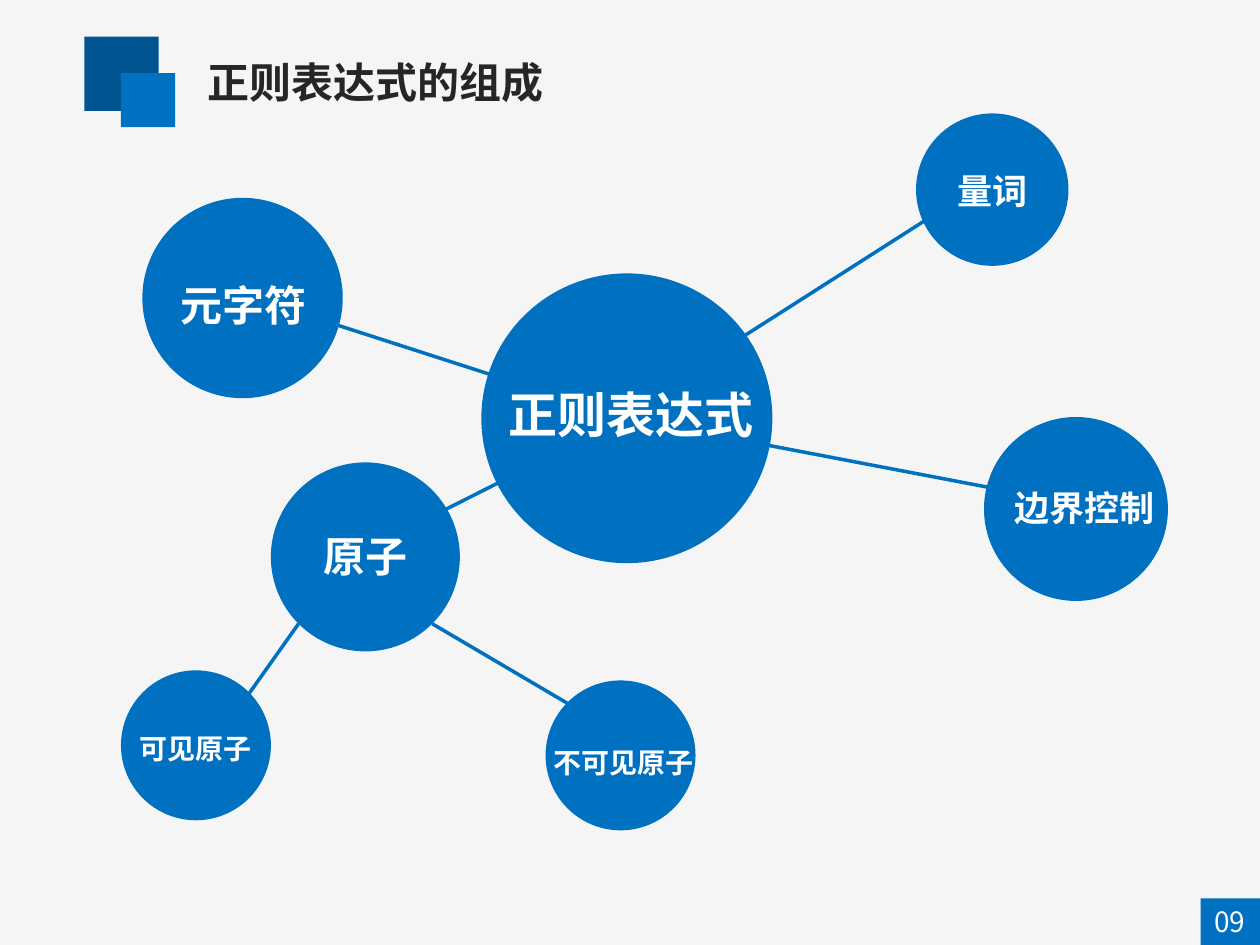
from dataclasses import dataclass

import lxml.etree
import pptx
import pptx.dml.color
import pptx.enum.shapes
import pptx.enum.text
import pptx.oxml.ns
import pptx.util

Inches = pptx.util.Inches
Align = pptx.enum.text.PP_ALIGN
Shape = pptx.enum.shapes.MSO_SHAPE
qn = pptx.oxml.ns.qn


@dataclass(frozen=True)
class Theme:
    font: str = "Noto Sans CJK SC"
    background: str = "F5F5F5"
    blue: str = "0070C0"
    dark_blue: str = "005490"
    title: str = "262626"
    white: str = "FFFFFF"
    small: int = 16
    medium: int = 20
    large: int = 24
    hub: int = 28
    line: float = 2


THEME = Theme()
LABEL_HEIGHTS = {THEME.small: 0.37, THEME.medium: 0.44, THEME.large: 0.5, THEME.hub: 0.57}

# circle box, label left, top and width, text size
NODES = [
    ("正则表达式", (3.82, 2.17, 2.31, 2.3), (3.85, 3, 2.31), THEME.hub),
    ("量词", (7.27, 0.9, 1.21, 1.21), (6.97, 1.3, 1.81), THEME.medium),
    ("元字符", (1.13, 1.57, 1.59, 1.59), (0.74, 2.17, 2.38), THEME.large),
    ("边界控制", (7.81, 3.31, 1.46, 1.46), (7.52, 3.81, 2.18), THEME.medium),
    ("原子", (2.15, 3.67, 1.5, 1.5), (1.78, 4.16, 2.24), THEME.large),
    ("可见原子", (0.96, 5.32, 1.19, 1.19), (0.43, 5.76, 2.24), THEME.small),
    ("不可见原子", (4.33, 5.4, 1.19, 1.19), (3.83, 5.87, 2.24), THEME.small),
]
HUB_LINKS = [
    ((1.87, 2.32), (4.94, 3.31)),
    ((2.81, 4.41), (4.95, 3.33)),
    ((4.85, 3.34), (7.64, 1.56)),
    ((4.92, 3.31), (8.54, 4)),
]
ATOM_LINKS = [
    ((1.98, 5.5), (2.37, 4.95)),
    ((3.43, 4.95), (4.5, 5.58)),
]


def rgb(value):
    return pptx.dml.color.RGBColor.from_string(value)


def write_text(sp, text, size, color, bold=True, align=Align.CENTER):
    tf = sp.text_frame
    tf.word_wrap = True
    tf.vertical_anchor = pptx.enum.text.MSO_ANCHOR.TOP
    p = tf.paragraphs[0]
    p.text = text
    p.alignment = align
    p.font.size = pptx.util.Pt(size)
    p.font.bold = bold
    p.font.color.rgb = rgb(color)
    p.font.name = THEME.font
    props = p._p.pPr.find(qn("a:defRPr"))
    lxml.etree.SubElement(props, qn("a:ea")).set("typeface", THEME.font)


def add_title(s, text):
    sp = s.shapes.title
    sp.left, sp.top, sp.width, sp.height = map(Inches, (1.55, 0.4, 7.78, 0.5))
    write_text(sp, text, THEME.large, THEME.title, align=Align.LEFT)


def add_block(s, kind, box, color=THEME.blue):
    sp = s.shapes.add_shape(kind, *map(Inches, box))
    sp.shadow.inherit = False
    sp.fill.solid()
    sp.fill.fore_color.rgb = rgb(color)
    sp.line.fill.background()


def add_label(s, text, place, size, bold=True):
    left, top, width = place
    sp = s.shapes.add_textbox(*map(Inches, (left, top, width, LABEL_HEIGHTS[size])))
    write_text(sp, text, size, THEME.white, bold)


def add_link(s, start, end):
    sp = s.shapes.add_connector(
        pptx.enum.shapes.MSO_CONNECTOR.STRAIGHT, *map(Inches, start + end))
    sp.line.color.rgb = rgb(THEME.blue)
    sp.line.width = pptx.util.Pt(THEME.line)
    lxml.etree.SubElement(sp._element.spPr, qn("a:effectLst"))


def main():
    prs = pptx.Presentation()
    prs.slide_width, prs.slide_height = Inches(10), Inches(7.5)
    s = prs.slides.add_slide(prs.slide_layouts[5])
    s.background.fill.solid()
    s.background.fill.fore_color.rgb = rgb(THEME.background)

    add_block(s, Shape.RECTANGLE, (0.67, 0.29, 0.59, 0.59), THEME.dark_blue)
    add_block(s, Shape.RECTANGLE, (0.96, 0.58, 0.43, 0.43))
    add_title(s, "正则表达式的组成")

    for start, end in HUB_LINKS:
        add_link(s, start, end)

    add_block(s, Shape.RECTANGLE, (9.53, 7.13, 0.47, 0.37))
    add_label(s, "09", (9.41, 7.13, 0.7), THEME.small, bold=False)

    for text, circle, place, size in NODES:
        add_block(s, Shape.OVAL, circle)
        add_label(s, text, place, size)

    for start, end in ATOM_LINKS:
        add_link(s, start, end)

    prs.save("out.pptx")


if __name__ == "__main__":
    main()
